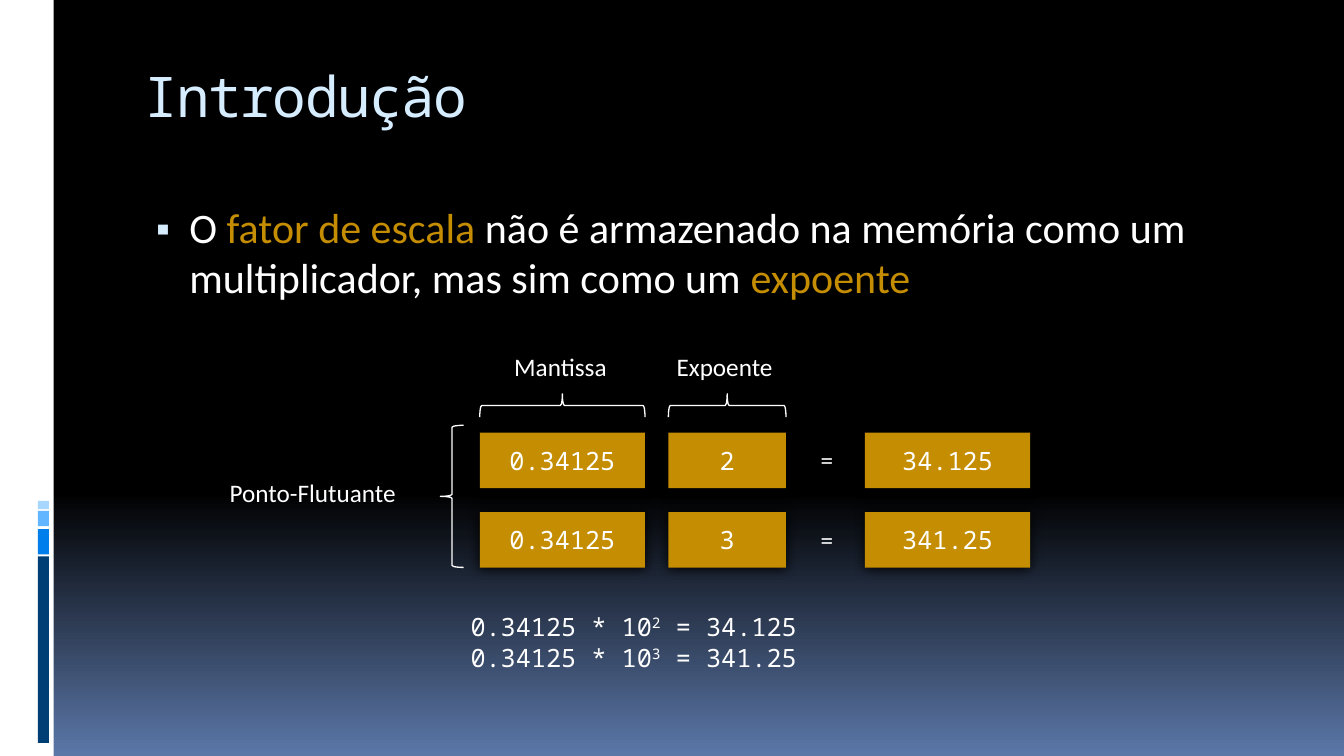
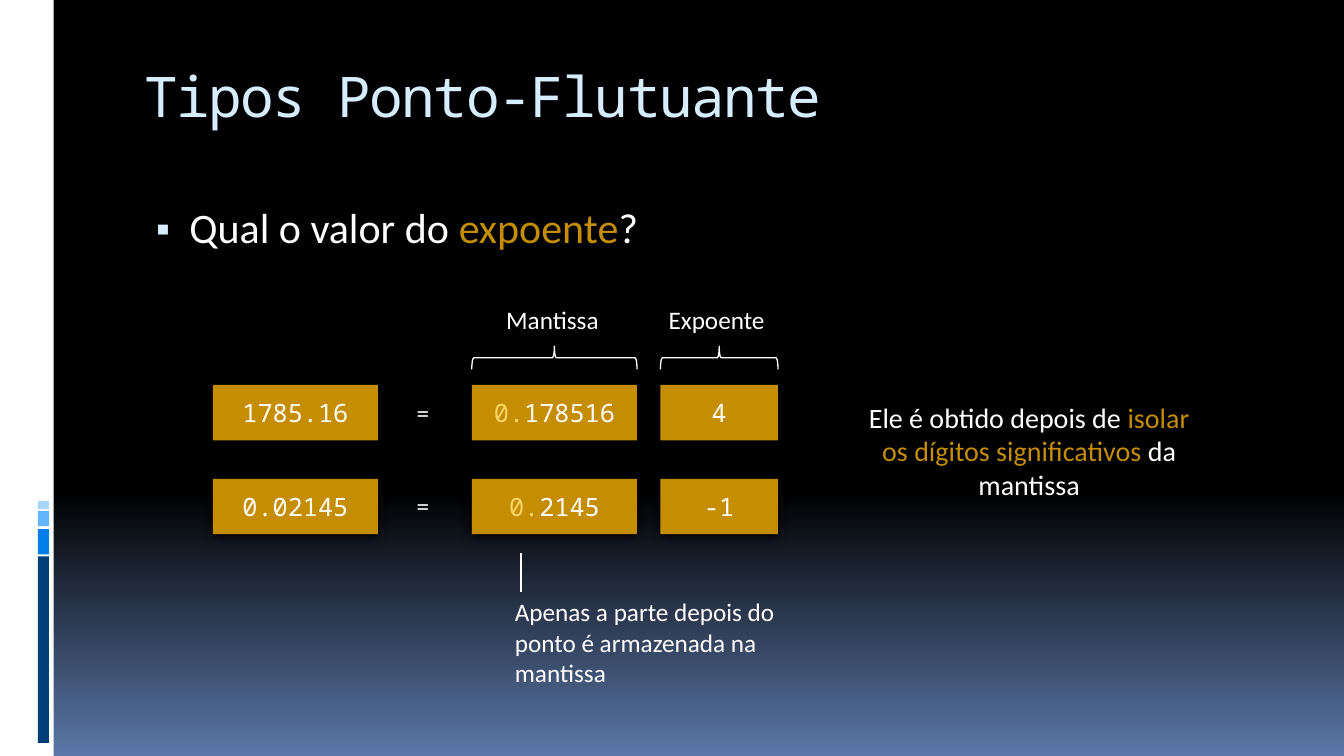
from lxml import etree
from pptx import Presentation
from pptx.dml.color import RGBColor
from pptx.enum import shapes, text
from pptx.oxml import ns
from pptx.util import Pt

HUES = {
    "black": "000000",
    "blue": "5B77A8",
    "white": "FFFFFF",
    "ice": "D6ECFF",
    "gold": "C58D01",
    "pale": "FED46C",
    "navy": "003F75",
    "azure": "007EEB",
    "sky": "61B6FF",
    "mist": "A7D6FF",
}
SANS = "Calibri"
MONO = "Noto Sans Mono"
WIDE, THIN, TALL = 118, 84, 39.6
STEP = 134.7
BANDS = [
    (0, 0, 38.4, 540, "white"),
    (27, 397.4, 8, 133.2, "navy"),
    (27, 378, 8, 18, "azure"),
    (27, 365, 8, 10.8, "sky"),
    (27, 357.8, 8, 5.8, "mist"),
]


def hue(name):
    return RGBColor.from_string(HUES[name])


def node(root, tag, **attrs):
    item = etree.SubElement(root, ns.qn(tag))
    for key, value in attrs.items():
        item.set(key, str(value))
    return item


def area(*sides):
    return [Pt(side) for side in sides]


def write(par, parts, face, size):
    if isinstance(parts, str):
        parts = [(parts, "white")]
    for words, tone in parts:
        run = par.add_run()
        run.text = words
        run.font.name = face
        run.font.size = Pt(size)
        run.font.color.rgb = hue(tone)


def rect(slide, x, y, w, h, tone):
    shape = slide.shapes.add_shape(shapes.MSO_SHAPE.RECTANGLE, *area(x, y, w, h))
    shape.shadow.inherit = False
    shape.fill.solid()
    shape.fill.fore_color.rgb = hue(tone)
    shape.line.fill.background()
    return shape


def cell(slide, x, y, w, parts):
    box = rect(slide, x, y, w, TALL, "gold")
    glow = node(box.element.spPr.find(ns.qn("a:effectLst")), "a:outerShdw",
                blurRad=Pt(8.5), dist=Pt(1), dir=5400000, rotWithShape=0)
    node(glow, "a:srgbClr", val=HUES["black"])
    frame = box.text_frame
    frame.vertical_anchor = text.MSO_ANCHOR.MIDDLE
    par = frame.paragraphs[0]
    par.alignment = text.PP_ALIGN.CENTER
    write(par, parts, MONO, 18)


def label(slide, x, y, w, h, parts, size=18, wrap=True):
    frame = slide.shapes.add_textbox(*area(x, y, w, h)).text_frame
    frame.word_wrap = wrap
    par = frame.paragraphs[0]
    write(par, parts, SANS, size)
    return par


def word(slide, x, y, w, words):
    label(slide, x, y, w, 28.8, words, wrap=False)


def brace(slide, x, y, w, h, turn=0):
    shape = slide.shapes.add_shape(shapes.MSO_SHAPE.LEFT_BRACE, *area(x, y, w, h))
    shape.rotation = turn
    shape.shadow.inherit = False
    shape.fill.background()
    shape.line.color.rgb = hue("white")
    shape.line.width = Pt(0.94)


def heads(slide, x, y):
    for left, span in ((x, WIDE), (x + STEP, THIN)):
        brace(slide, left + span / 2 - 8.3, y - 19.4 - span / 2, 16.6, span, 90)
    word(slide, x + 17.5, y - 61.5, 82, "Mantissa")
    word(slide, x + 133.5, y - 61.5, 86, "Expoente")


def row(slide, y, pair, mark, total, parts, power):
    cell(slide, pair, y, WIDE, parts)
    cell(slide, pair + STEP, y, THIN, power)
    word(slide, mark, y + 5, 24, "=")
    cell(slide, total[0], y, WIDE, total[1])


def line(slide, x, top, end):
    rule = slide.shapes.add_connector(shapes.MSO_CONNECTOR.STRAIGHT, *area(x, top, x, end))
    rule.line.color.rgb = hue("white")
    rule.line.width = Pt(0.94)
    node(rule.element.spPr, "a:effectLst")


def point(slide, parts):
    par = label(slide, 95.8, 140.4, 816, 360, [], 30)
    props = par._p.get_or_add_pPr()
    props.set("marL", str(Pt(32.4)))
    props.set("indent", str(Pt(-27.4)))
    node(node(props, "a:buClr"), "a:srgbClr", val=HUES["ice"])
    node(props, "a:buSzPct", val=95000)
    node(props, "a:buFont", typeface=MONO)
    node(props, "a:buChar", char="▪")
    write(par, parts, SANS, 30)


def start(deck, name):
    slide = deck.slides.add_slide(deck.slide_layouts[5])
    title = slide.shapes.title
    title.left, title.top, title.width, title.height = area(95.8, 40.3, 816, 72)
    frame = title.text_frame
    frame.auto_size = text.MSO_AUTO_SIZE.NONE
    frame.vertical_anchor = text.MSO_ANCHOR.TOP
    par = frame.paragraphs[0]
    par.alignment = text.PP_ALIGN.LEFT
    write(par, [(name, "ice")], MONO, 40)
    par.runs[0].font._element.set("spc", "-100")
    return slide


def dress(deck, slide):
    fill = deck.slide_master.background.fill
    fill.gradient()
    fill.gradient_angle = 270
    for stop, place, tone in zip(fill.gradient_stops, (0.65, 1), ("black", "blue")):
        stop.position = place
        stop.color.rgb = hue(tone)
    for band in BANDS:
        slide.slide_layout.shapes.element.append(rect(slide, *band).element)


def powers(slide, sums):
    frame = slide.shapes.add_textbox(*area(329, 432.7, 260.6, 51)).text_frame
    frame.word_wrap = True
    for spot, (power, total) in enumerate(sums):
        par = frame.add_paragraph() if spot else frame.paragraphs[0]
        par.line_spacing = Pt(22)
        parts = ("0.34125 * 10", power, f" = {total}")
        write(par, [(part, "white") for part in parts], MONO, 18)
        par.runs[1].font._element.set("baseline", "30000")


def scale(slide):
    point(slide, [
        ("O ", "white"),
        ("fator de escala ", "gold"),
        ("não é armazenado na memória como um multiplicador, mas sim como um ", "white"),
        ("expoente", "gold"),
    ])
    sums = [("2", "34.125"), ("3", "341.25")]
    heads(slide, 342.7, 309)
    for spot, (power, total) in enumerate(sums):
        row(slide, 309 + spot * 56.8, 342.7, 579, (617.8, total), "0.34125", power)
    brace(slide, 314.6, 303.8, 16.6, 101.5)
    word(slide, 157, 337.7, 138, "Ponto-Flutuante")
    powers(slide, sums)


def value(slide):
    point(slide, [("Qual o valor do ", "white"), ("expoente", "gold"), ("?", "white")])
    par = label(slide, 606.2, 282.2, 257.8, 80, [
        ("Ele é obtido depois de ", "white"),
        ("isolar os dígitos significativos", "gold"),
        (" da mantissa", "white"),
    ], 20)
    par.alignment = text.PP_ALIGN.CENTER
    label(slide, 360.7, 422.6, 218.2, 72.7,
          "Apenas a parte depois do ponto é armazenada na mantissa")
    heads(slide, 337, 275)
    sums = [("1785.16", "178516", "4"), ("0.02145", "2145", "-1")]
    for spot, (total, digits, power) in enumerate(sums):
        row(slide, 275 + spot * 67, 337, 290.5, (152, total),
            [("0.", "pale"), (digits, "white")], power)
    line(slide, 372.2, 395.3, 422.6)


def main():
    deck = Presentation()
    deck.slide_width, deck.slide_height = area(960, 540)
    first = start(deck, "Introdução")
    dress(deck, first)
    scale(first)
    value(start(deck, "Tipos Ponto-Flutuante"))
    deck.save("out.pptx")


if __name__ == "__main__":
    main()
